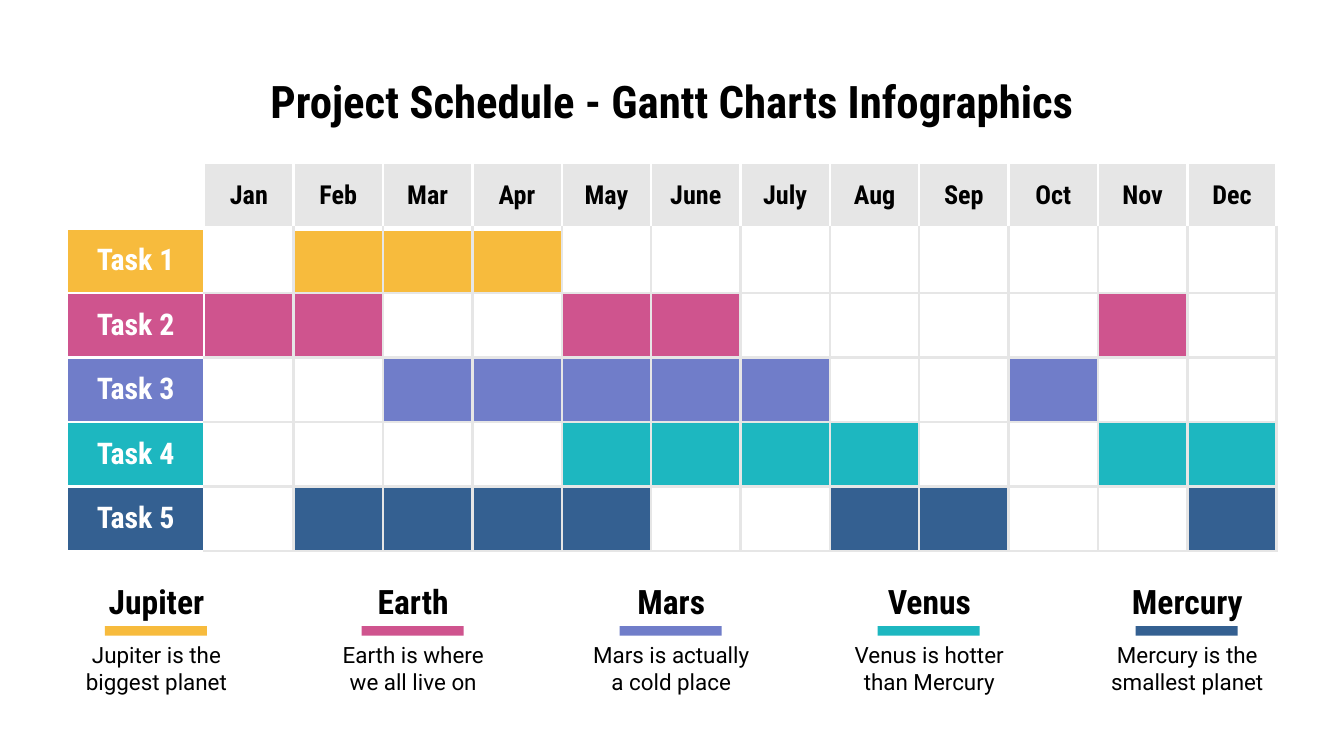
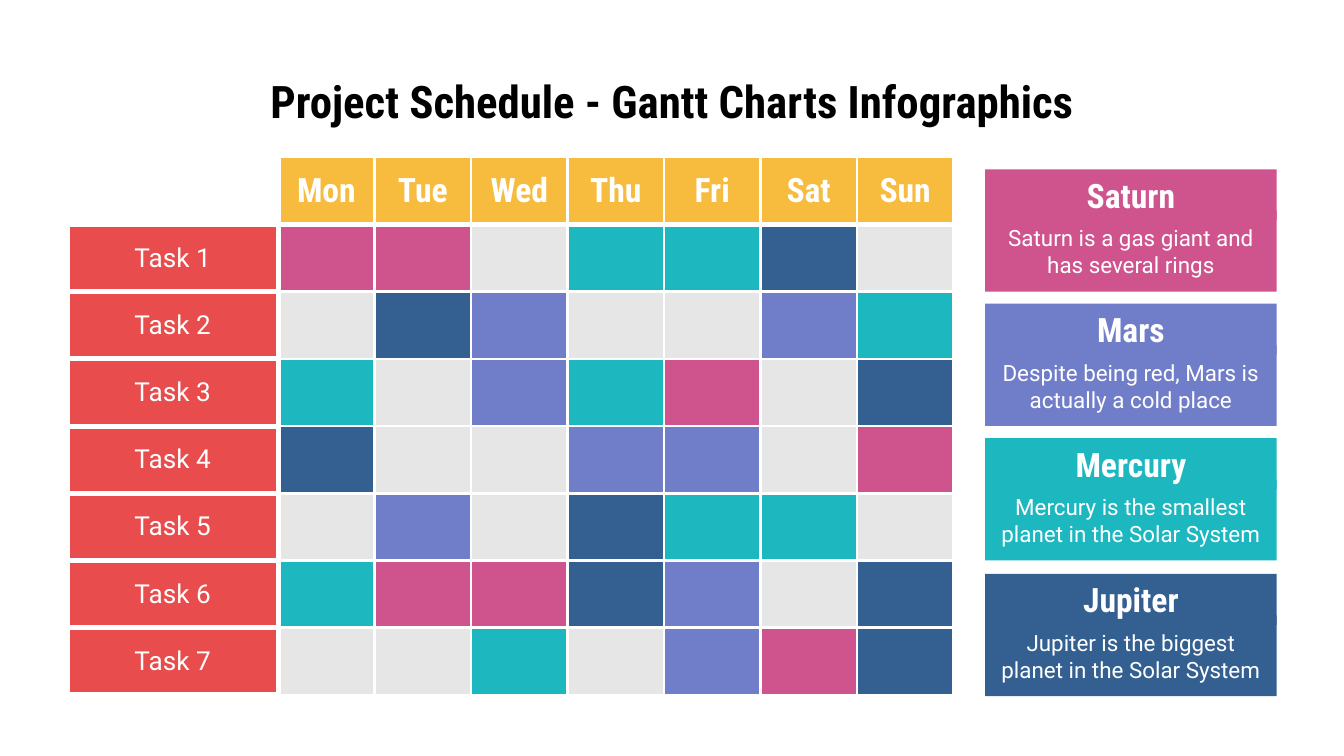
from lxml import etree
from pptx import Presentation
from pptx.dml.color import RGBColor
from pptx.enum.shapes import MSO_SHAPE
from pptx.enum.text import MSO_ANCHOR, PP_ALIGN
from pptx.oxml.ns import qn
from pptx.util import Pt

PX = 9144
RECTANGLE = MSO_SHAPE.RECTANGLE
TOP = MSO_ANCHOR.TOP
MIDDLE = MSO_ANCHOR.MIDDLE
CENTER = PP_ALIGN.CENTER

BLACK = RGBColor(0x00, 0x00, 0x00)
WHITE = RGBColor(0xFF, 0xFF, 0xFF)
GREY = RGBColor(0xE6, 0xE6, 0xE6)
YELLOW = RGBColor(0xF7, 0xBB, 0x3D)
PINK = RGBColor(0xCF, 0x54, 0x8E)
VIOLET = RGBColor(0x70, 0x7D, 0xC9)
TEAL = RGBColor(0x1D, 0xB7, 0xC0)
NAVY = RGBColor(0x34, 0x60, 0x91)
RED = RGBColor(0xE9, 0x4C, 0x4C)
PALETTE = {"Y": YELLOW, "P": PINK, "V": VIOLET, "T": TEAL, "N": NAVY, "G": GREY}

HEADING_FONT = "Roboto Condensed"
BODY_FONT = "Roboto"
TITLE = "Project Schedule - Gantt Charts Infographics"
MARGIN = 10 * PX
THIN = Pt(1.5)
THICK = Pt(3)


def write(area, text, size, color, font=HEADING_FONT, anchor=MIDDLE):
    area.margin_left = area.margin_right = MARGIN
    area.margin_top = area.margin_bottom = MARGIN
    area.vertical_anchor = anchor
    area.word_wrap = True
    frame = getattr(area, "text_frame", area)
    frame.text = text
    para = frame.paragraphs[0]
    para.alignment = CENTER
    span = para.runs[0]
    span.font.name = font
    span.font.size = Pt(size)
    span.font.bold = font == HEADING_FONT
    span.font.color.rgb = color


def add_schedule(slide, top, widths, heights, headers, rows, header_style,
                 task_style, line_color, task_line):
    header_fill, header_color, header_size = header_style
    task_font, task_size = task_style
    table_shape = slide.shapes.add_table(
        len(heights), len(widths), 50 * PX, top * PX,
        int(sum(widths) * PX), sum(heights) * PX)
    table = table_shape.table
    table.first_row = False
    table.horz_banding = False
    for column, width in zip(table.columns, widths):
        column.width = int(width * PX)
    for row, height in zip(table.rows, heights):
        row.height = height * PX

    for row_index in range(len(heights)):
        for column_index in range(len(widths)):
            cell = table.cell(row_index, column_index)
            fill = None
            if column_index == 0:
                edges = [(WHITE, task_line)] * 4
                if row_index:
                    fill = rows[row_index - 1][0]
                    write(cell, f"Task {row_index}", task_size, WHITE, task_font)
            elif row_index == 0:
                edges = [(WHITE, THIN)] * 3 + [(WHITE, THICK)]
                fill = header_fill
                write(cell, headers[column_index - 1], header_size, header_color)
            else:
                edges = [(line_color, THIN)] * 4
                if column_index == 1:
                    edges[0] = (WHITE, task_line)
                if row_index == 1:
                    edges[2] = (WHITE, THICK)
                fill = PALETTE.get(rows[row_index - 1][1][column_index - 1])

            properties = cell._tc.get_or_add_tcPr()
            for tag, (color, width) in zip(("lnL", "lnR", "lnT", "lnB"), edges):
                line = etree.SubElement(properties, qn(f"a:{tag}"), w=str(int(width)))
                solid = etree.SubElement(line, qn("a:solidFill"))
                etree.SubElement(solid, qn("a:srgbClr"), val=str(color))
            if fill is None:
                cell.fill.background()
            else:
                cell.fill.solid()
                cell.fill.fore_color.rgb = fill


deck = Presentation()
deck.slide_width = 1000 * PX
deck.slide_height = 5143500
blank = deck.slide_layouts[6]
year_slide = deck.slides.add_slide(blank)
week_slide = deck.slides.add_slide(blank)

for page in (year_slide, week_slide):
    box = page.shapes.add_textbox(50 * PX, 45 * PX, 900 * PX, 63 * PX)
    write(box.text_frame, TITLE, 24, BLACK, anchor=TOP)

months = ["Jan", "Feb", "Mar", "Apr", "May", "June",
          "July", "Aug", "Sep", "Oct", "Nov", "Dec"]
year_rows = [
    (YELLOW, ".YYY........"),
    (PINK, "PP..PP....P."),
    (VIOLET, "..VVVVV..V.."),
    (TEAL, "....TTTT..TT"),
    (NAVY, ".NNNN..NN..N"),
]
add_schedule(year_slide, 121, [102] + [66.5] * 12, [49] + [48] * 5, months,
             year_rows, (GREY, BLACK, 14), (HEADING_FONT, 16), GREY, THIN)

legend = [
    ("Jupiter", "Jupiter is the biggest planet", YELLOW),
    ("Earth", "Earth is where we all live on", PINK),
    ("Mars", "Mars is actually a cold place", VIOLET),
    ("Venus", "Venus is hotter than Mercury", TEAL),
    ("Mercury", "Mercury is the smallest planet", NAVY),
]
for index, (name, description, color) in enumerate(legend):
    left = 48 + index * 767 // 4
    box = year_slide.shapes.add_textbox(left * PX, 428 * PX, 137 * PX, 38 * PX)
    write(box.text_frame, name, 18, BLACK)
    box = year_slide.shapes.add_textbox(left * PX, 467 * PX, 137 * PX, 60 * PX)
    write(box.text_frame, description, 12, BLACK, BODY_FONT, TOP)
    bar = year_slide.shapes.add_shape(
        RECTANGLE, (left + 30) * PX, 466 * PX, 76 * PX, 7 * PX)
    bar.shadow.inherit = False
    bar.fill.solid()
    bar.fill.fore_color.rgb = color
    bar.line.fill.background()

days = ["Mon", "Tue", "Wed", "Thu", "Fri", "Sat", "Sun"]
week_patterns = ["PPGTTNG", "GNVGGVT", "TGVTPGN", "NGGVVGP",
                 "GVGNTTG", "TPPNVGN", "GGTGVPN"]
week_rows = [(RED, pattern) for pattern in week_patterns]
add_schedule(week_slide, 117, [157] + [71.8] * 7, [50] * 8, days,
             week_rows, (YELLOW, WHITE, 18), (BODY_FONT, 14), WHITE, THICK)

cards = [
    ("Saturn", "Saturn is a gas giant and has several rings", PINK),
    ("Mars", "Despite being red, Mars is actually a cold place", VIOLET),
    ("Mercury", "Mercury is the smallest planet in the Solar System", TEAL),
    ("Jupiter", "Jupiter is the biggest planet in the Solar System", NAVY),
]
for index, (name, description, color) in enumerate(cards):
    top = 126 + index * 301 // 3
    parts = [
        (top + 31, 60, description, 12, BODY_FONT, TOP),
        (top, 38, name, 18, HEADING_FONT, MIDDLE),
    ]
    for part_top, height, text, size, font, anchor in parts:
        card = week_slide.shapes.add_shape(
            RECTANGLE, 733 * PX, part_top * PX, 217 * PX, height * PX)
        card.shadow.inherit = False
        card.fill.solid()
        card.fill.fore_color.rgb = color
        card.line.fill.background()
        write(card.text_frame, text, size, WHITE, font, anchor)

deck.save("out.pptx")
